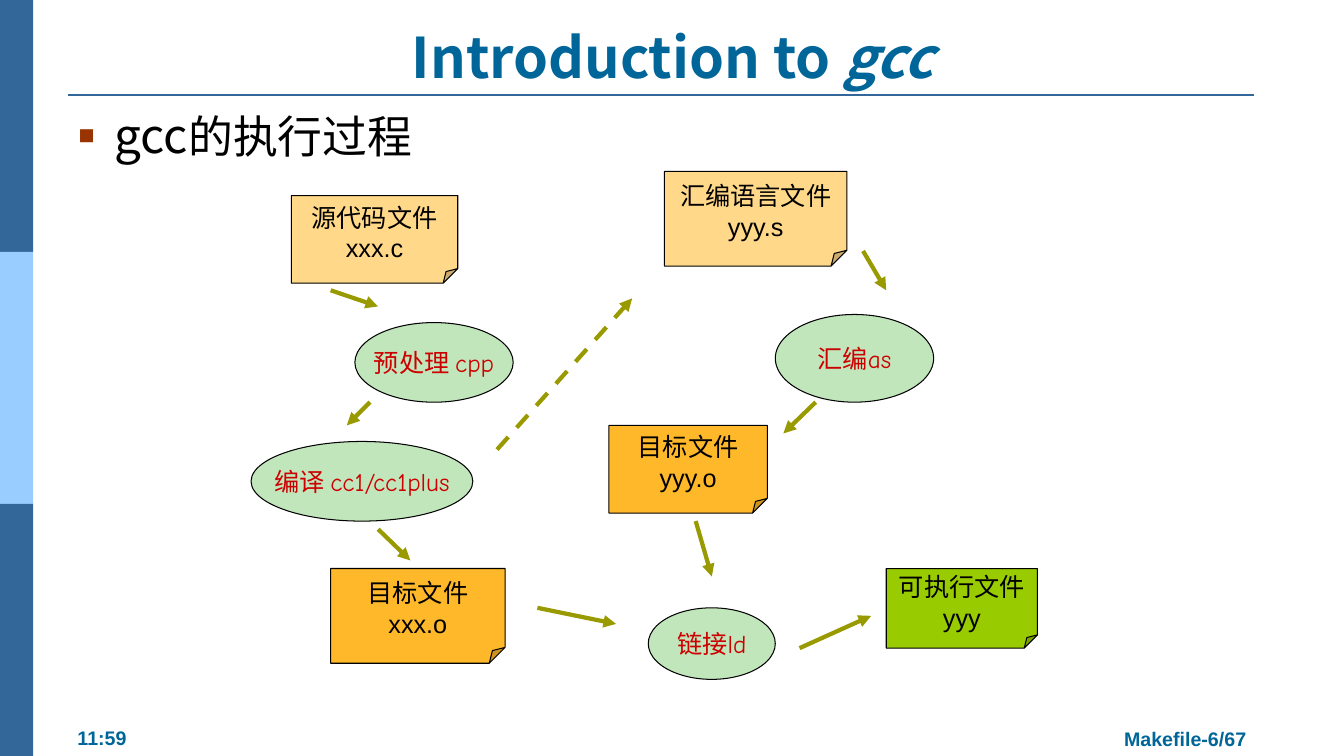
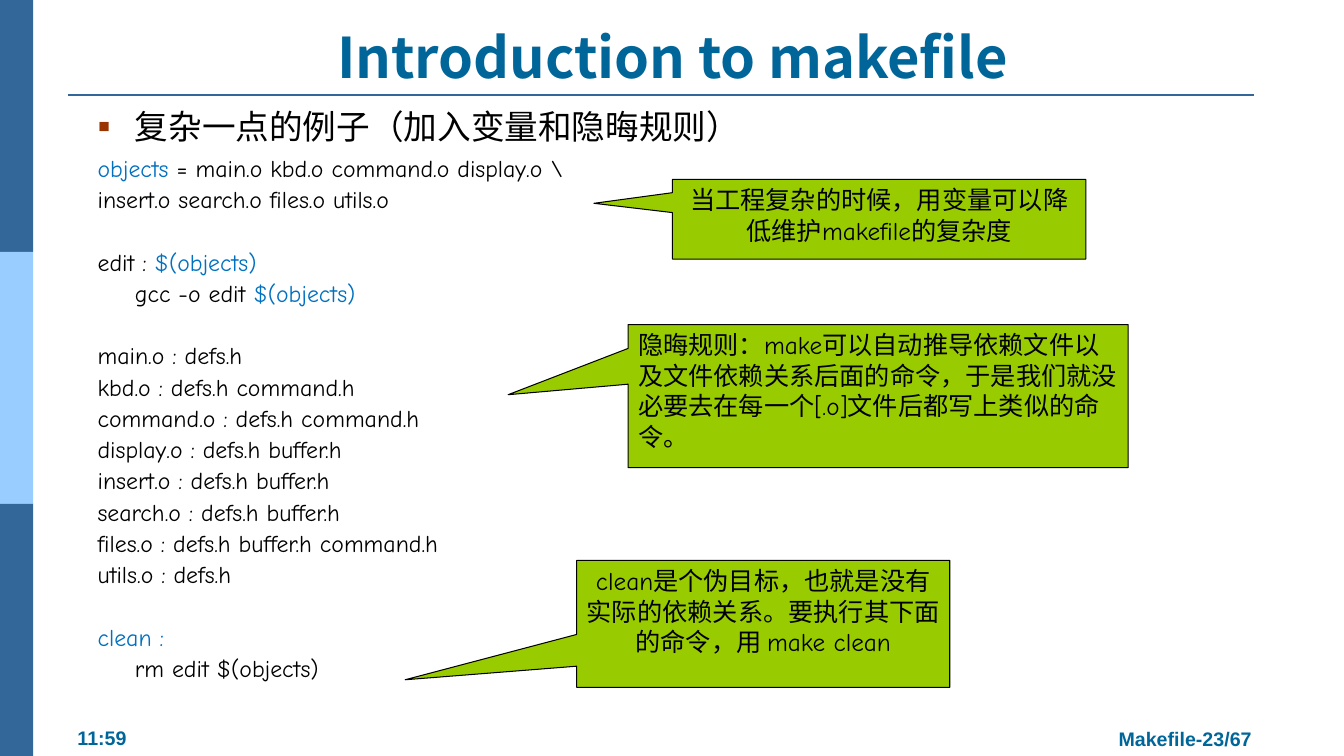
from lxml.etree import SubElement
from pptx import Presentation
from pptx.dml.color import RGBColor
from pptx.enum.dml import MSO_LINE_DASH_STYLE as DASH
from pptx.enum.shapes import MSO_CONNECTOR as CONNECTOR, MSO_SHAPE as SHAPE
from pptx.enum.text import MSO_ANCHOR as ANCHOR, PP_ALIGN as ALIGN
from pptx.oxml.ns import qn
from pptx.util import Inches, Pt

NAVY, SKY, TEAL, BLACK = "336699", "99CCFF", "006699", "000000"
OLIVE, LIME, MINT, RED = "999900", "99CC00", "C2E6BC", "CC0000"
PEACH, AMBER, BLUE, RUST = "FFD889", "FFB829", "0070C0", "993300"
CJK, COMIC, SANS = "Noto Sans CJK SC", "Comic Neue", "Arial"
LINE_PITCH = Pt(21.7)


def paint(fill, color):
    fill.solid()
    fill.fore_color.rgb = RGBColor.from_string(color)


def write(shape, paragraphs, size, color=BLACK, latin=CJK, align=ALIGN.LEFT,
          anchor=ANCHOR.TOP, wrap=True, bold=False, pitch=None):
    frame = shape.text_frame
    frame.word_wrap, frame.vertical_anchor = wrap, anchor
    for index, runs in enumerate(paragraphs):
        paragraph = frame.add_paragraph() if index else frame.paragraphs[0]
        paragraph.alignment = align
        if pitch:
            paragraph.line_spacing = pitch
        for text, changes in runs:
            run = paragraph.add_run()
            run.text = text
            values = {"size": Pt(size), "bold": bold, "name": latin, "color": color} | changes
            paint(run.font.fill, values.pop("color"))
            for name, value in values.items():
                setattr(run.font, name, value)
            SubElement(run._r.get_or_add_rPr(), qn("a:ea"), typeface=CJK)


presentation = Presentation()
presentation.slide_width, presentation.slide_height = Inches(13.33), Inches(7.5)

pages = [
    ([("Introduction to ", {}), ("gcc", {"italic": True})], "Makefile-6/67",
     [("gcc", {"size": Pt(34)}), ("的执行过程", {})], 32, 0.67),
    ([("Introduction to makefile", {})], "Makefile-23/67",
     [("复杂一点的例子（加入变量和隐晦规则）", {})], 24, 0.87),
]
slides = []
for title, page_number, heading, heading_size, heading_left in pages:
    slide = presentation.slides.add_slide(presentation.slide_layouts[6])
    slides.append(slide)
    for index, color in enumerate([NAVY, SKY, NAVY]):
        band = slide.shapes.add_shape(SHAPE.RECTANGLE, 0, Inches(2.5 * index), Inches(0.33), Inches(2.5))
        band.shadow.inherit = False
        paint(band.fill, color)
        band.line.fill.background()

    rule = slide.shapes.add_connector(CONNECTOR.STRAIGHT, Inches(0.67), Inches(0.94), Inches(12.44), Inches(0.94))
    paint(rule.line.fill, NAVY)
    rule.line.width = Pt(1.5)
    SubElement(rule._element.spPr, qn("a:effectLst"))

    footers = [(page_number, 10.98, 7.16, 1.55, ALIGN.CENTER), ("11:59", 0.67, 7.15, 0.7, ALIGN.LEFT)]
    for text, left, top, width, align in footers:
        footer = slide.shapes.add_textbox(Inches(left), Inches(top), Inches(width), Inches(0.34))
        write(footer, [[(text, {})]], 14, TEAL, SANS, align, wrap=False, bold=True)

    title_box = slide.shapes.add_textbox(Inches(0.67), Inches(0.26), Inches(12), Inches(0.63))
    title_box.text_frame.margin_bottom = 0
    write(title_box, [title], 40, TEAL, align=ALIGN.CENTER, anchor=ANCHOR.BOTTOM, bold=True)

    heading_box = slide.shapes.add_textbox(Inches(heading_left), Inches(1), Inches(12), Inches(0.7))
    write(heading_box, [heading], heading_size)
    properties = heading_box.text_frame.paragraphs[0]._p.get_or_add_pPr()
    properties.set("marL", str(Inches(0.37)))
    properties.set("indent", str(-Inches(0.37)))
    bullet_color = SubElement(properties, qn("a:buClr"))
    SubElement(bullet_color, qn("a:srgbClr"), val=RUST)
    SubElement(properties, qn("a:buSzPct"), val="110000")
    SubElement(properties, qn("a:buFont"), typeface=SANS)
    SubElement(properties, qn("a:buChar"), char="▪")

process_slide, makefile_slide = slides

files = (SHAPE.FOLDED_CORNER, BLACK, SANS)
tools = (SHAPE.OVAL, RED, COMIC)
steps = [
    (files, PEACH, 2.89, 1.94, 1.65, 0.87, ["源代码文件", "xxx.c"]),
    (tools, MINT, 3.52, 3.2, 1.57, 0.79, ["预处理 cpp"]),
    (tools, MINT, 2.49, 4.38, 2.2, 0.79, ["编译 cc1/cc1plus"]),
    (files, AMBER, 3.28, 5.64, 1.73, 0.94, ["目标文件", "xxx.o"]),
    (files, PEACH, 6.59, 1.7, 1.81, 0.94, ["汇编语言文件", "yyy.s"]),
    (tools, MINT, 7.69, 3.12, 1.57, 0.87, ["汇编as"]),
    (files, AMBER, 6.04, 4.22, 1.57, 0.87, ["目标文件", "yyy.o"]),
    (tools, MINT, 6.43, 6.03, 1.26, 0.71, ["链接ld"]),
    (files, LIME, 8.79, 5.64, 1.5, 0.79, ["可执行文件", "yyy"]),
]
for (kind, text_color, latin), fill, left, top, width, height, lines in steps:
    step = process_slide.shapes.add_shape(kind, Inches(left), Inches(top), Inches(width), Inches(height))
    step.shadow.inherit = False
    paint(step.fill, fill)
    paint(step.line.fill, BLACK)
    step.line.width = Pt(0.75)
    write(step, [[(line, {})] for line in lines], 18, text_color, latin, ALIGN.CENTER,
          ANCHOR.MIDDLE, wrap=False, pitch=LINE_PITCH)

arrows = [
    (3.28, 2.88, 3.75, 3.04, None),
    (3.75, 5.25, 4.07, 5.56, None),
    (8.56, 2.49, 8.79, 2.88, None),
    (3.67, 3.99, 3.44, 4.22, None),
    (8.09, 3.99, 7.77, 4.3, None),
    (6.9, 5.17, 7.06, 5.72, None),
    (5.33, 6.03, 6.11, 6.19, None),
    (7.93, 6.43, 8.64, 6.11, None),
    (4.93, 4.46, 6.27, 2.96, DASH.DASH),
]
for *ends, dash in arrows:
    arrow = process_slide.shapes.add_connector(CONNECTOR.STRAIGHT, *map(Inches, ends))
    paint(arrow.line.fill, OLIVE)
    arrow.line.width = Pt(3)
    if dash:
        arrow.line.dash_style = dash
    SubElement(arrow.line._get_or_add_ln(), qn("a:tailEnd"), type="triangle")
    SubElement(arrow._element.spPr, qn("a:effectLst"))

blue = {"color": BLUE}
code_blocks = [
    [[("objects ", blue), ("= main.o kbd.o command.o display.o \\", {})],
     [("insert.o search.o files.o utils.o", {})]],
    [[("edit : ", {}), ("$(objects)", blue)],
     [("gcc -o edit ", {}), ("$(objects)", blue)]],
    [[(f"{target} : {needs}", {})] for target, needs in [
        ("main.o", "defs.h"),
        ("kbd.o", "defs.h command.h"),
        ("command.o", "defs.h command.h"),
        ("display.o", "defs.h buffer.h"),
        ("insert.o", "defs.h buffer.h"),
        ("search.o", "defs.h buffer.h"),
        ("files.o", "defs.h buffer.h command.h"),
        ("utils.o", "defs.h"),
    ]],
    [[("clean :", blue)], [("rm edit $(objects)", {})]],
]
code_pitch = Pt(22.3)
code_box = makefile_slide.shapes.add_textbox(Inches(0.87), Inches(1.45), Inches(5), Inches(5.4))
write(code_box, [line for block in code_blocks for line in block], 17, latin=COMIC, pitch=code_pitch)
code_lines = code_box.text_frame.paragraphs
first = 0
for block in code_blocks:
    if first:
        code_lines[first].space_before = code_pitch
    first += len(block)
for paragraph in code_lines:
    if paragraph.text.startswith(("gcc ", "rm ")):
        paragraph._p.get_or_add_pPr().set("marL", str(Inches(0.37)))

callouts = [
    (6.67, 1.78, 4.1, 0.79, (-0.69, -0.2), ALIGN.CENTER,
     "当工程复杂的时候，用变量可以降低维护makefile的复杂度"),
    (6.23, 3.22, 4.96, 1.42, (-0.74, -0.01), ALIGN.LEFT,
     "隐晦规则：make可以自动推导依赖文件以及文件依赖关系后面的命令，"
     "于是我们就没必要去在每一个[.o]文件后都写上类似的命令。"),
    (5.72, 5.56, 3.7, 1.26, (-0.96, 0.44), ALIGN.CENTER,
     "clean是个伪目标，也就是没有实际的依赖关系。要执行其下面的命令，用 make clean"),
]
for left, top, width, height, tip, align, text in callouts:
    callout = makefile_slide.shapes.add_shape(
        SHAPE.RECTANGULAR_CALLOUT, Inches(left), Inches(top), Inches(width), Inches(height))
    callout.shadow.inherit = False
    callout.adjustments[0], callout.adjustments[1] = tip
    paint(callout.fill, LIME)
    paint(callout.line.fill, BLACK)
    callout.line.width = Pt(0.75)
    write(callout, [[(text, {})]], 18, latin=COMIC, align=align, pitch=LINE_PITCH)

presentation.save("out.pptx")
